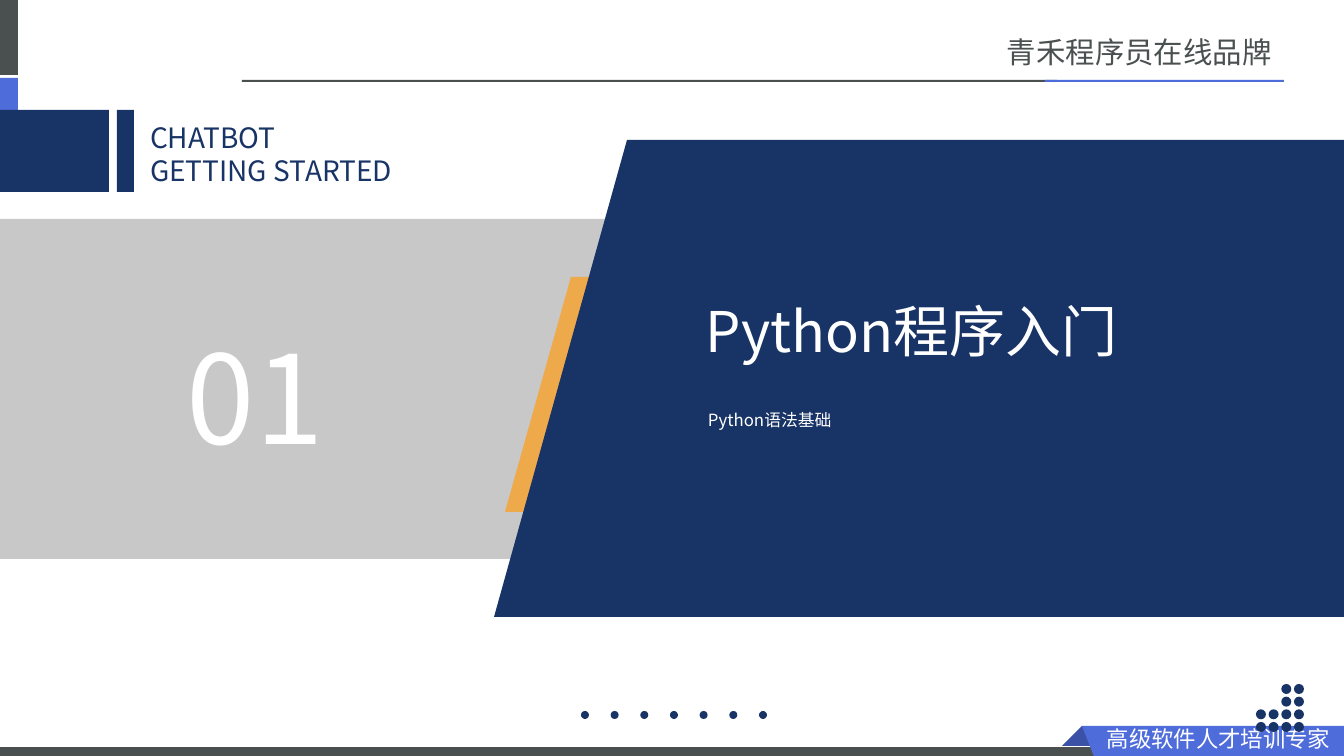
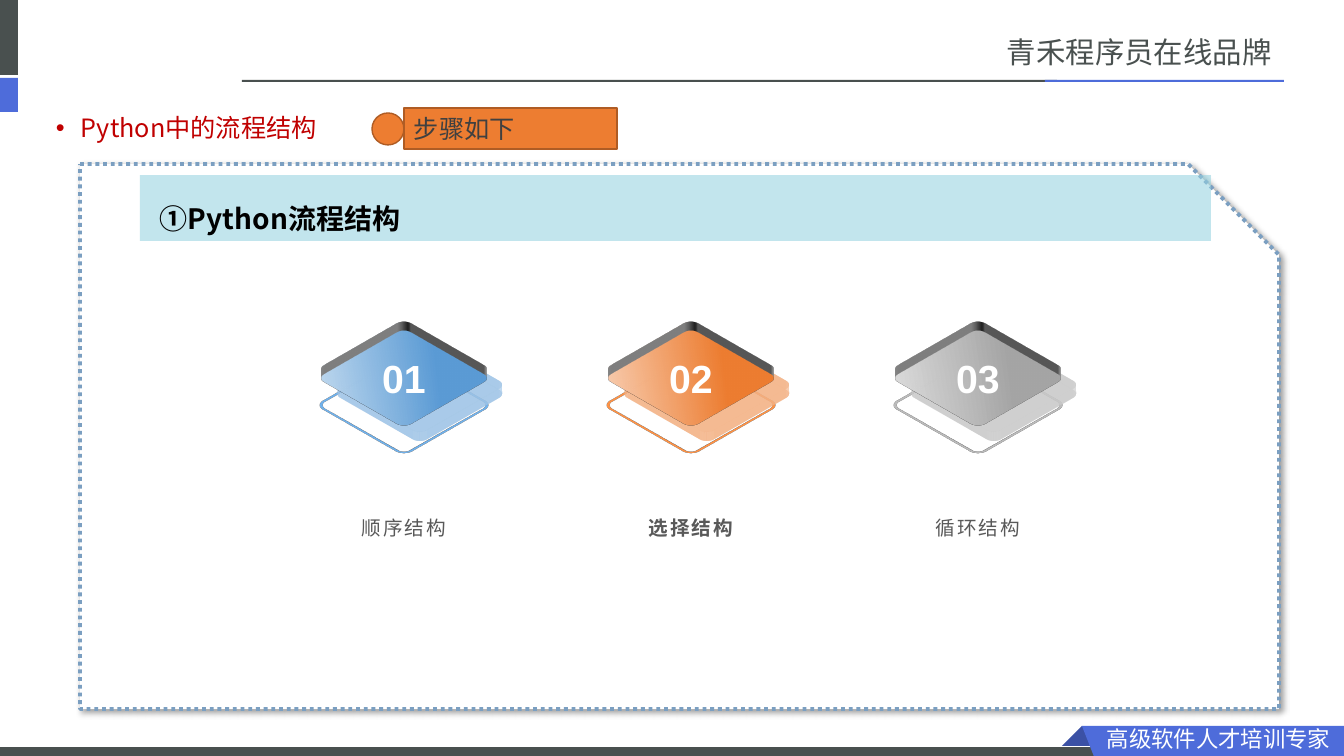
from pptx import Presentation
from pptx.dml.color import RGBColor
from pptx.enum.dml import MSO_LINE
from pptx.enum.shapes import MSO_SHAPE as Preset
from pptx.enum.text import MSO_ANCHOR as Anchor, PP_ALIGN as Align
from pptx.oxml import parse_xml
from pptx.oxml.ns import nsdecls, qn
from pptx.util import Emu, Pt

SLIDE_W, SLIDE_H = 1344, 756
SCALE = 12192000 / SLIDE_W
SANS = "Noto Sans CJK SC"
SANS_JP = "Noto Sans CJK JP"
COLORS = {
    "white": "FFFFFF", "black": "000000", "slate": "49504F", "blue": "4E6CDA",
    "fold": "3B51A5", "navy": "183365", "grey": "C8C8C8", "amber": "EEA94B",
    "red": "C00000", "orange": "ED7D31", "rust": "AF5C24", "text": "404040",
    "caption": "595959", "dash": "7B9FC1", "aqua": "94D2E0",
}
STEPS = [
    {"number": "01", "label": "顺序结构", "bold": False, "light": "BDD7EE",
     "face": "5B9BD5", "shade": "9DC3E6", "blur": 15},
    {"number": "02", "label": "选择结构", "bold": True, "light": "F8CBAD",
     "face": "ED7D31", "shade": "F4B183", "blur": 27},
    {"number": "03", "label": "循环结构", "bold": False, "light": "DBDBDB",
     "face": "A5A5A5", "shade": "C9C9C9", "blur": 15},
]


def px(length):
    return Emu(round(length * SCALE))


def rgb(color):
    return RGBColor.from_string(COLORS.get(color, color))


def paint(shape, fill=None, line=None, width=1, alpha=None):
    shape.shadow.inherit = False
    if fill:
        shape.fill.solid()
        shape.fill.fore_color.rgb = rgb(fill)
        if alpha:
            tint = shape._element.spPr.find(qn("a:solidFill"))[0]
            tint.append(parse_xml(f'<a:alpha {nsdecls("a")} val="{alpha * 1000}"/>'))
    else:
        shape.fill.background()
    if line:
        shape.line.color.rgb = rgb(line)
        shape.line.width = Pt(width)
    else:
        shape.line.fill.background()
    return shape


def add_preset(slide, preset, x, y, w, h, **look):
    shape = slide.shapes.add_shape(preset, px(x), px(y), px(w), px(h))
    return paint(shape, **look)


def add_outline(slide, points, **look):
    corners = [(px(x), px(y)) for x, y in points]
    builder = slide.shapes.build_freeform(*corners[0], scale=1.0)
    builder.add_line_segments(corners[1:], close=True)
    return paint(builder.convert_to_shape(), **look)


def set_gradient(shape, stops, angle):
    marks = "".join(
        f'<a:gs pos="{at * 1000}"><a:srgbClr val="{color}"/></a:gs>' for at, color in stops)
    gradient = parse_xml(
        f'<a:gradFill {nsdecls("a")} rotWithShape="1"><a:gsLst>{marks}</a:gsLst>'
        f'<a:lin ang="{angle * 60000}" scaled="0"/></a:gradFill>')
    props = shape._element.spPr
    props.replace(props.find(qn("a:solidFill")), gradient)


def set_shadow(shape, color, blur, distance):
    effects = shape._element.spPr.find(qn("a:effectLst"))
    effects.append(parse_xml(
        f'<a:outerShdw {nsdecls("a")} blurRad="{Pt(blur)}" dist="{Pt(distance)}" '
        f'dir="2700000" algn="tl" rotWithShape="0"><a:srgbClr val="{COLORS.get(color, color)}">'
        f'<a:alpha val="40000"/></a:srgbClr></a:outerShdw>'))


def set_isometric(shape, depth=0):
    props = shape._element.spPr
    props.append(parse_xml(
        f'<a:scene3d {nsdecls("a")}><a:camera prst="isometricTopUp"/>'
        f'<a:lightRig rig="threePt" dir="t"/></a:scene3d>'))
    if depth:
        props.append(parse_xml(f'<a:sp3d {nsdecls("a")} extrusionH="{px(depth)}"/>'))


def write(slide, text, x, y, w, h, host=None, size=18, color="white", font=SANS,
          bold=False, align=Align.LEFT, anchor=Anchor.TOP, inset=(10, 5),
          leading=None, bullet=None, tracking=None):
    holder = host or slide.shapes.add_textbox(px(x), px(y), px(w), px(h))
    frame = holder.text_frame
    frame.word_wrap = True
    frame.vertical_anchor = anchor
    frame.margin_left = frame.margin_right = px(inset[0])
    frame.margin_top = frame.margin_bottom = px(inset[1])
    for index, line in enumerate(text.split("\n")):
        paragraph = frame.add_paragraph() if index else frame.paragraphs[0]
        paragraph.alignment = align
        if leading:
            paragraph.line_spacing = leading
        if bullet:
            props = paragraph._p.get_or_add_pPr()
            props.set("marL", str(px(25)))
            props.set("indent", str(-px(25)))
            props.append(parse_xml(f'<a:buFont {nsdecls("a")} typeface="Arial"/>'))
            props.append(parse_xml(f'<a:buChar {nsdecls("a")} char="{bullet}"/>'))
        run = paragraph.add_run()
        run.text = line
        run.font.size = Pt(size)
        run.font.bold = bold
        run.font.color.rgb = rgb(color)
        run.font.name = font
        east_asian = SANS if font == "Arial" else font
        run_props = run._r.get_or_add_rPr()
        run_props.append(parse_xml(f'<a:ea {nsdecls("a")} typeface="{east_asian}"/>'))
        if tracking:
            run_props.set("spc", str(round(tracking * 100)))
    return holder


def add_header(slide, x, y, w):
    add_preset(slide, Preset.RECTANGLE, -6, -1, 24, 76, fill="slate")
    add_preset(slide, Preset.RECTANGLE, -6, 78, 24, 34, fill="blue")
    add_preset(slide, Preset.RECTANGLE, x, y, w - 227, 2, fill="slate")
    add_preset(slide, Preset.RECTANGLE, x + w - 239, y, 239, 2, fill="blue")
    write(slide, "青禾程序员在线品牌", x + w - 282, y - 51, 282, 45,
          size=21, color="slate", inset=(5, 5))


def add_footer(slide, x, y, w, h):
    add_outline(slide, [(x + 22, y), (x + 44, y + 22), (x + 43, y + 23), (x + 1, y + 23),
                        (x, y + 22)], fill="fold")
    add_preset(slide, Preset.RECTANGLE, -1, y + 21, x + 49, 12,
               fill="slate", line="white", width=0.75)
    add_outline(slide, [(x + 22, y), (x + w, y), (x + w, y + h), (x + 35, y + h - 1)],
                fill="blue")
    write(slide, "高级软件人才培训专家", x + 42, y - 6, w - 47, 36, size=16, inset=(5, 5))


def add_frame(slide):
    add_header(slide, 242, 80, 1042)
    add_footer(slide, 1060, 726, 284, 34)


def add_chapter_panel(slide, x, y, w, h):
    right = x + w
    add_outline(slide, [(x, y + 79), (x + 606, y + 79), (x + 511, y + 419), (x, y + 419)],
                fill="grey")
    add_outline(slide, [(x + 571, y + 137), (x + 922, y + 137), (x + 922, y + 372),
                        (x + 505, y + 372)], fill="amber")
    add_outline(slide, [(x + 627, y), (right, y), (right, y + h), (x + 494, y + h)],
                fill="navy")
    write(slide, "01", x + 140, y + 139, 230, 179, size=88, align=Align.CENTER, leading=1.25)
    write(slide, "Python程序入门", x + 696, y + 135, 536, 88, size=40, leading=1.25)
    write(slide, "Python语法基础", x + 696, y + 254, 536, 42, size=12, leading=1.5,
          inset=(12, 6))


def add_course_tag(slide, x, y, h):
    add_preset(slide, Preset.RECTANGLE, x, y, 109, h, fill="navy")
    add_preset(slide, Preset.RECTANGLE, x + 117, y, 17, h, fill="navy")
    write(slide, "CHATBOT\nGETTING STARTED", x + 140, y + 5, 348, 78, size=20, color="navy")


def add_dots(slide, x, y, w, cells, columns, size):
    pitch = (w - size) / (columns - 1)
    for column, row in cells:
        add_preset(slide, Preset.OVAL, x + column * pitch, y + row * pitch, size, size,
                   fill="navy")


def build_chapter(slide):
    add_frame(slide)
    add_chapter_panel(slide, 0, 140, SLIDE_W, 477)
    add_course_tag(slide, 0, 110, 82)
    stair = [(c, r) for r in range(4) for c in range(4) if c > 1 or r > 1]
    add_dots(slide, 1256, 684, 48, stair, 4, 10)
    add_dots(slide, 581, 711, 186, [(c, 0) for c in range(7)], 7, 8)


def add_plate(slide, x, y, size, **look):
    plate = add_preset(slide, Preset.ROUNDED_RECTANGLE, x, y, size, size, width=2, **look)
    plate.adjustments[0] = 0.08
    plate.rotation = 180
    return plate


def add_step(slide, x, y, w, step):
    center, side = x + w / 2, 122
    base = add_plate(slide, center - side / 2, y + 27, side, line=step["face"])
    set_isometric(base)
    tile = add_plate(slide, center - side / 2, y, side, fill=step["face"], line="white")
    set_gradient(tile, [(0, step["light"]), (70, step["face"]), (100, step["face"])], 40)
    set_shadow(tile, step["shade"], step["blur"], 16)
    set_isometric(tile, depth=11)
    write(slide, step["number"], center - 34, y + 35, 68, 51, size=28, font="Arial",
          bold=True, align=Align.CENTER, anchor=Anchor.MIDDLE, inset=(0, 0))
    write(slide, step["label"], x, y + 192, w, 131, size=14, color="caption", font="Arial",
          bold=step["bold"], align=Align.CENTER, inset=(8, 0), leading=1.3, tracking=1.5)


def add_topic_line(slide, x, y):
    write(slide, "Python中的流程结构", x, y, 1179, 38, color="red", font=SANS_JP,
          inset=(5, 5), leading=0.9, bullet="•")
    button = add_preset(slide, Preset.RECTANGLE, x + 353, y - 3, 213, 41,
                        fill="orange", line="rust")
    write(slide, "步骤如下", 0, 0, 0, 0, host=button, color="text", font=SANS_JP)
    add_preset(slide, Preset.OVAL, x + 321, y + 2, 32, 32, fill="orange", line="rust")


def add_steps_card(slide, x, y, w, h):
    card = add_preset(slide, Preset.SNIP_1_RECTANGLE, x, y, w, h,
                      fill="white", line="dash", width=2.75)
    card.line.dash_style = MSO_LINE.ROUND_DOT
    set_shadow(card, "black", 4, 3)
    add_preset(slide, Preset.RECTANGLE, x + 60, y + 11, 1071, 66, fill="aqua", alpha=56)
    write(slide, "①Python流程结构", x + 70, y + 22, 1045, 72, size=20, color="black",
          bold=True, leading=Pt(31.4))
    for index, step in enumerate(STEPS):
        add_step(slide, x + 227 + index * 287, y + 153, 194, step)


def build_steps(slide):
    add_frame(slide)
    add_steps_card(slide, 80, 164, 1199, 545)
    add_topic_line(slide, 51, 111)


def main():
    deck = Presentation()
    deck.slide_width, deck.slide_height = px(SLIDE_W), px(SLIDE_H)
    for build in (build_chapter, build_steps):
        build(deck.slides.add_slide(deck.slide_layouts[6]))
    deck.save("out.pptx")


if __name__ == "__main__":
    main()
